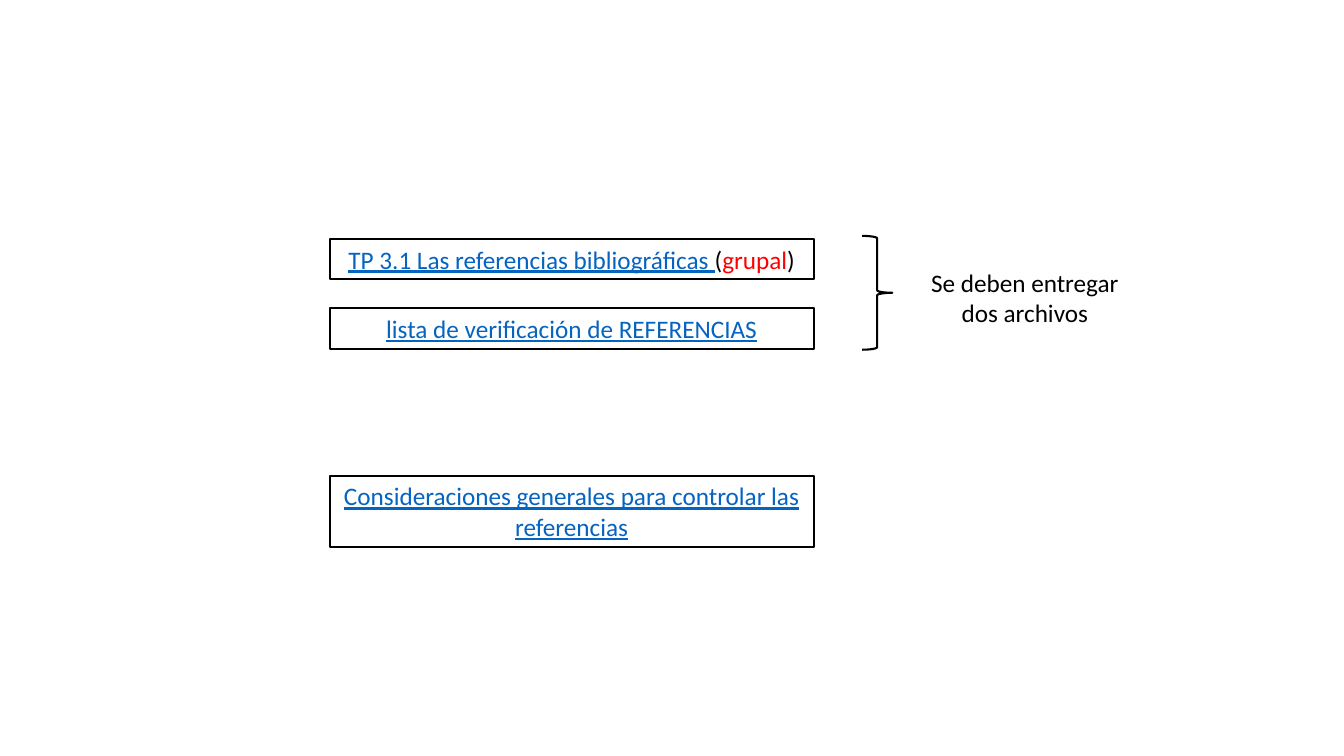
from pptx import Presentation
from pptx.dml.color import RGBColor
from pptx.enum.shapes import MSO_SHAPE as Shape
from pptx.enum.text import MSO_ANCHOR as Anchor, MSO_AUTO_SIZE as AutoSize, PP_ALIGN as Align
from pptx.util import Inches, Pt

BLACK, RED, LINK_BLUE = "000000", "FF0000", "0563C1"


def color(value):
    return RGBColor.from_string(value)


def write(box, paragraphs):
    """Fill a box with centred paragraphs, each a list of (text, colour) spans."""
    frame = box.text_frame
    frame.word_wrap = True
    frame.auto_size = AutoSize.SHAPE_TO_FIT_TEXT
    frame.vertical_anchor = Anchor.TOP
    for index, spans in enumerate(paragraphs):
        para = frame.add_paragraph() if index else frame.paragraphs[0]
        para.alignment = Align.CENTER
        para.font.name = "Calibri"
        para.font.size = Pt(18)
        for text, tint in spans:
            span = para.add_run()
            span.text = text
            span.font.color.rgb = color(tint)
            span.font.underline = tint == LINK_BLUE


deck = Presentation()
deck.slide_width, deck.slide_height = Inches(13.33), Inches(7.5)
page = deck.slides.add_slide(deck.slide_layouts[6])

documents = [
    (2.37, 0.4, [("TP 3.1 Las referencias bibliográficas ", LINK_BLUE),
                 ("(", BLACK), ("grupal", RED), (")", BLACK)]),
    (3.06, 0.4, [("lista de verificación de REFERENCIAS", LINK_BLUE)]),
    (4.72, 0.71, [("Consideraciones generales para controlar las referencias", LINK_BLUE)]),
]
outlined = []
for top, height, spans in documents:
    box = page.shapes.add_shape(Shape.RECTANGLE, Inches(3.27), Inches(top),
                                Inches(4.8), Inches(height))
    write(box, [spans])
    outlined.append(box)

brace = page.shapes.add_shape(Shape.RIGHT_BRACE, Inches(8.55), Inches(2.34),
                              Inches(0.3), Inches(1.13))
outlined.append(brace)

for shape in outlined:
    shape.shadow.inherit = False
    shape.fill.background()
    shape.line.color.rgb = color(BLACK)
    shape.line.width = Pt(1.5)

delivery = page.shapes.add_textbox(Inches(9.11), Inches(2.6), Inches(2.11), Inches(0.71))
write(delivery, [[("Se deben entregar ", BLACK)], [("dos archivos", BLACK)]])

deck.save("out.pptx")
